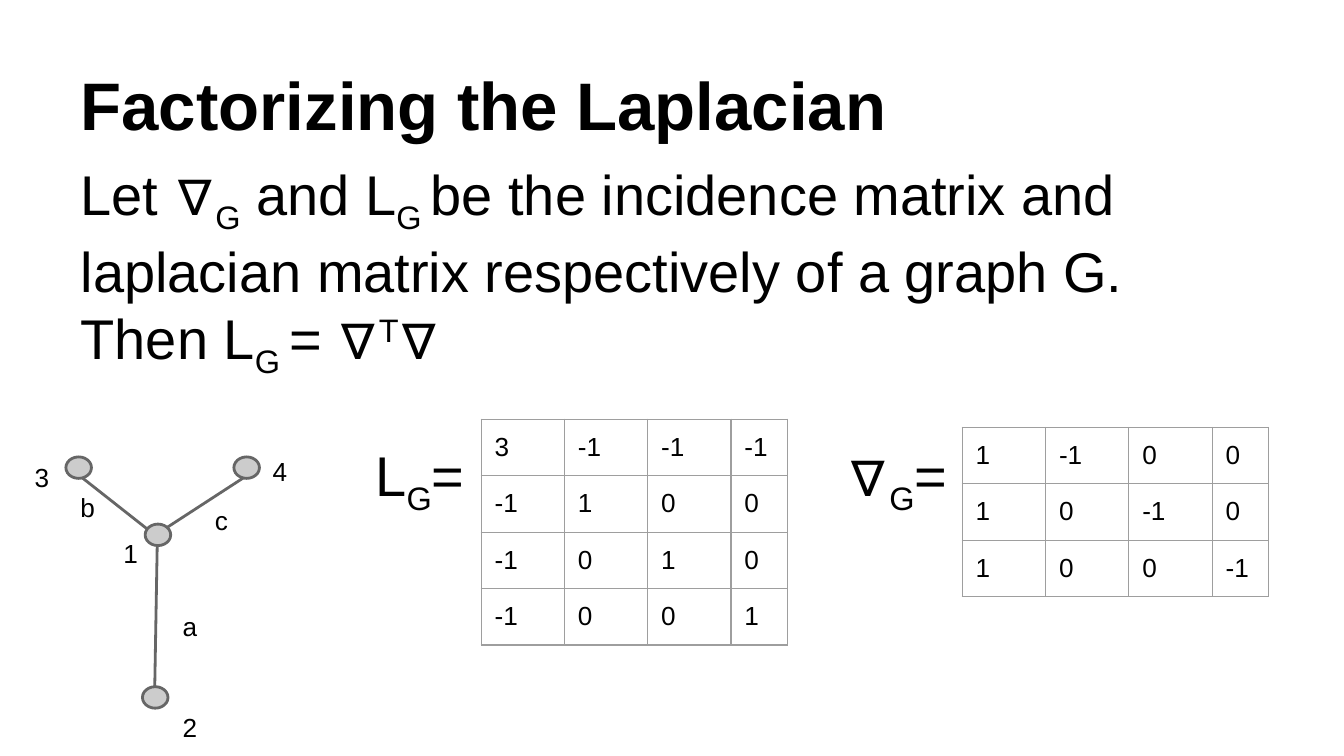
from lxml import etree
from pptx import Presentation
from pptx.dml.color import RGBColor
from pptx.enum.shapes import MSO_CONNECTOR, MSO_SHAPE
from pptx.enum.text import MSO_ANCHOR, MSO_AUTO_SIZE, PP_ALIGN
from pptx.oxml.ns import qn
from pptx.util import Inches, Pt

STRAIGHT, OVAL = MSO_CONNECTOR.STRAIGHT, MSO_SHAPE.OVAL
TOP, BOTTOM = MSO_ANCHOR.TOP, MSO_ANCHOR.BOTTOM
LEFT, NO_AUTOFIT = PP_ALIGN.LEFT, MSO_AUTO_SIZE.NONE

# Content: text runs are (text, baseline shift in percent)
COLORS = {"text": "000000", "node": "CCCCCC", "edge": "666666", "grid": "9E9E9E"}
FONT = "Arial"
SUB, SUPER = -25, 30
TITLE = [("Factorizing the Laplacian", 0)]
STATEMENT = [
    ("Let ∇", 0), ("G", SUB), (" and L", 0), ("G ", SUB),
    ("be the incidence matrix and laplacian matrix respectively of a graph G. Then L", 0),
    ("G ", SUB), ("= ∇", 0), ("T", SUPER), ("∇", 0),
]
EQUATIONS = [
    ([(" L", 0), ("G", SUB), ("=", 0)], (2.58, 3.18, 1.15, 0.6)),
    ([("∇", 0), ("G", SUB), ("= ", 0)], (6.21, 3.18, 0.95, 0.83)),
]
MATRICES = [
    ((3.58, 3.12), [(3, -1, -1, -1), (-1, 1, 0, 0), (-1, 0, 1, 0), (-1, 0, 0, 1)]),
    ((7.16, 3.18), [(1, -1, 0, 0), (1, 0, -1, 0), (1, 0, 0, -1)]),
]
COLUMN_WIDTHS, ROW_HEIGHT = (0.62, 0.62, 0.62, 0.42), 0.42
NODE_SIZE = (0.19, 0.16)
NODES = [(1.06, 5.11), (1.08, 3.9), (0.49, 3.4), (1.74, 3.4)]
EDGES = [(1.15, 5.19, 1.17, 4.06), (1.22, 3.94, 1.82, 3.55), (0.58, 3.53, 1.1, 3.94)]
LABELS = [
    ("1", 0.82, 3.9, 0.24), ("2", 1.26, 5.19, 0.24), ("3", 0.16, 3.33, 0.24),
    ("4", 1.93, 3.29, 0.24), ("a", 1.26, 4.44, 0.24),
    ("b", 0.5, 3.56, 0.4), ("c", 1.5, 3.65, 0.4),
]


def inches(*values):
    return [Inches(value) for value in values]


def color(name):
    return RGBColor.from_string(COLORS[name])


def add_run(paragraph, text, size, bold=False, shift=0):
    run = paragraph.add_run()
    run.text = text
    run.font.name, run.font.size, run.font.bold = FONT, Pt(size), bold
    run.font.color.rgb = color("text")
    if shift:
        run.font._element.set("baseline", str(shift * 1000))


def set_margins(holder):
    holder.margin_left = holder.margin_right = Inches(0.1)
    holder.margin_top = holder.margin_bottom = Inches(0.1)


def write(frame, runs, size, bold=False, before=0, anchor=TOP):
    frame.word_wrap = True
    frame.auto_size = NO_AUTOFIT
    frame.vertical_anchor = anchor
    set_margins(frame)
    paragraph = frame.paragraphs[0]
    paragraph.alignment = LEFT
    paragraph.space_before = Pt(before)
    for text, shift in runs:
        add_run(paragraph, text, size, bold, shift)
    return paragraph


def place(shape, *box):
    shape.left, shape.top, shape.width, shape.height = inches(*box)


def outline(shape):
    shape.line.color.rgb = color("edge")
    shape.line.width = Pt(1.5)


def add_borders(cell):
    properties = cell._tc.get_or_add_tcPr()
    for position, side in enumerate(("a:lnL", "a:lnR", "a:lnT", "a:lnB")):
        line = etree.Element(qn(side), w=str(Pt(0.75)))
        fill = etree.SubElement(line, qn("a:solidFill"))
        etree.SubElement(fill, qn("a:srgbClr"), val=COLORS["grid"])
        properties.insert(position, line)


def add_matrix(slide, left, top, rows):
    box = inches(left, top, sum(COLUMN_WIDTHS), ROW_HEIGHT * len(rows))
    table = slide.shapes.add_table(len(rows), len(COLUMN_WIDTHS), *box).table
    table.first_row = table.horz_banding = False
    for column, width in zip(table.columns, COLUMN_WIDTHS):
        column.width = Inches(width)
    for row, values in zip(table.rows, rows):
        row.height = Inches(ROW_HEIGHT)
        for cell, value in zip(row.cells, values):
            cell.fill.background()
            add_borders(cell)
            set_margins(cell)
            add_run(cell.text_frame.paragraphs[0], str(value), 14)


# Widescreen slide, 16:9
presentation = Presentation()
presentation.slide_width = Inches(10)
presentation.slide_height = presentation.slide_width * 9 // 16
slide = presentation.slides.add_slide(presentation.slide_layouts[1])
shapes = slide.shapes

# Title and statement
place(shapes.title, 0.5, 0.23, 9, 0.94)
write(shapes.title.text_frame, TITLE, 36, bold=True, anchor=BOTTOM)
body = slide.placeholders[1]
place(body, 0.5, 1.09, 9, 1.81)
statement = write(body.text_frame, STATEMENT, 30)
properties = statement._p.get_or_add_pPr()
properties.set("marL", "0")
properties.set("indent", "0")
etree.SubElement(properties, qn("a:buNone"))

# Graph: edges behind nodes
for edge in EDGES:
    connector = shapes.add_connector(STRAIGHT, *inches(*edge))
    outline(connector)
    etree.SubElement(connector._element.spPr, qn("a:effectLst"))
for left, top in NODES:
    node = shapes.add_shape(OVAL, *inches(left, top, *NODE_SIZE))
    node.shadow.inherit = False
    node.fill.solid()
    node.fill.fore_color.rgb = color("node")
    outline(node)
for text, left, top, height in LABELS:
    label = shapes.add_textbox(*inches(left, top, 0.25, height))
    write(label.text_frame, [(text, 0)], 14)

# Matrices and their names
for runs, box in EQUATIONS:
    equation = shapes.add_textbox(*inches(*box))
    write(equation.text_frame, runs, 30, before=6)
for (left, top), rows in MATRICES:
    add_matrix(slide, left, top, rows)

presentation.save("out.pptx")
